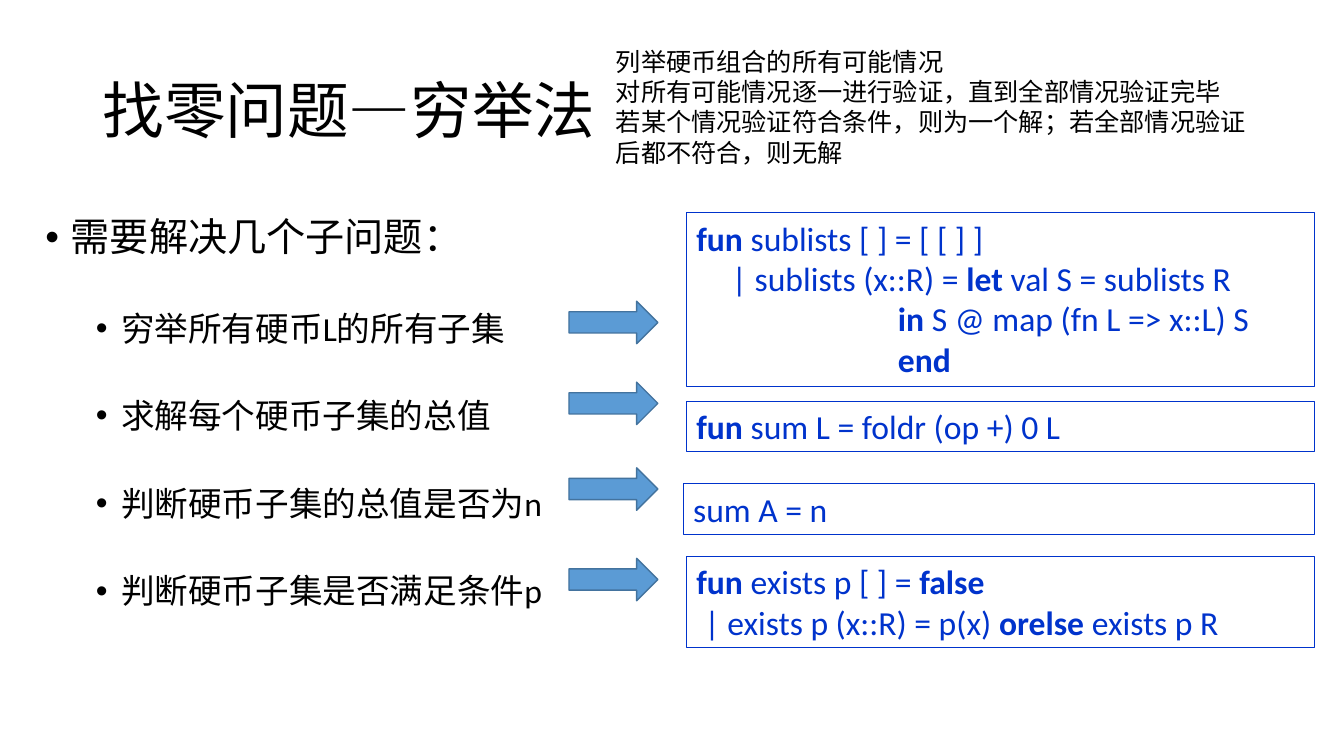
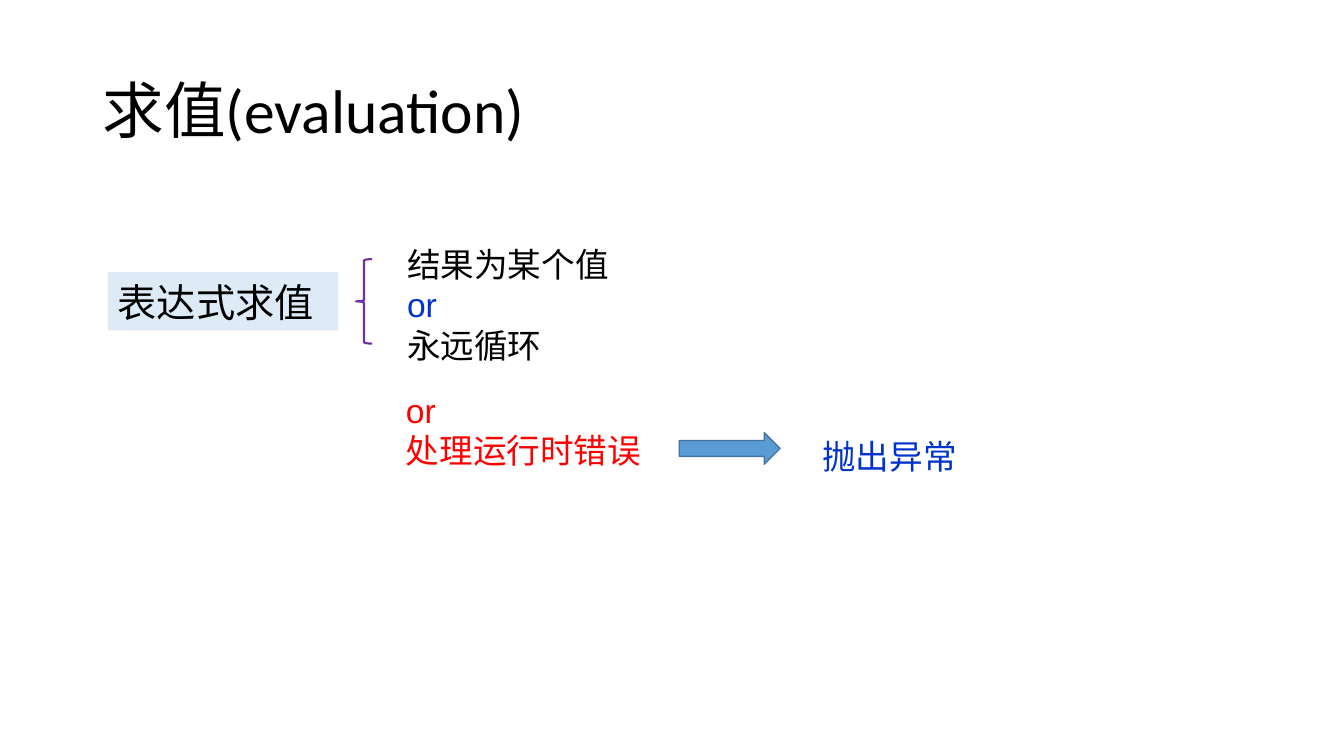
from lxml.etree import SubElement
from pptx import Presentation
from pptx.dml.color import RGBColor
from pptx.enum.shapes import MSO_SHAPE as Preset
from pptx.enum.text import MSO_ANCHOR as Anchor, MSO_AUTO_SIZE as AutoSize, PP_ALIGN as Align
from pptx.oxml.ns import qn
from pptx.util import Cm, Pt

BLACK = RGBColor(0x00, 0x00, 0x00)
CODE_BLUE = RGBColor(0x00, 0x33, 0xCC)
ARROW_FILL = RGBColor(0x5B, 0x9B, 0xD5)
ARROW_EDGE = RGBColor(0x43, 0x73, 0x9E)
LABEL_FILL = RGBColor(0xDE, 0xEB, 0xF6)
BRACE_PURPLE = RGBColor(0x70, 0x30, 0xA0)
ERROR_RED = RGBColor(0xFF, 0x00, 0x00)

LATIN, PLAIN, CHINESE = "Calibri", "Arial", "Noto Sans CJK SC"
TITLE_BOX = (2.33, 1.01, 29.21, 3.68)
TITLE_LINES = {"alignment": Align.LEFT, "line_spacing": 0.9}
TOPIC_LINES = {"level": 0, "line_spacing": 0.9, "space_before": Pt(10)}
STEP_LINES = {"level": 1, "line_spacing": 2.0, "space_before": Pt(5)}
RESULT_LINES = {"level": 1, "line_spacing": 1.5, "space_before": Pt(5)}
CODE_LINES = {"alignment": Align.LEFT}


def apply(target, values):
    """Set every attribute named in the dict of values."""
    for name, value in values.items():
        setattr(target, name, value)


def place(shape, box):
    """Move a shape to a (left, top, width, height) box in centimetres."""
    apply(shape, dict(zip(("left", "top", "width", "height"), map(Cm, box))))


def write(paragraph, pieces, size, color=BLACK, font=LATIN, lines=None):
    """Fill a paragraph with (text, bold) pieces in one text format."""
    apply(paragraph, lines or {})
    for text, bold in pieces:
        run = paragraph.add_run()
        run.text = text
        apply(run.font, {"size": Pt(size), "bold": bold, "name": font})
        run.font.color.rgb = color
        SubElement(run.font._element, qn("a:ea")).set("typeface", CHINESE)


def indent(paragraph, margin, hanging=0.0, bullet=None):
    """Set the left margin, hanging indent and optional bullet of a paragraph."""
    properties = paragraph._p.get_or_add_pPr()
    properties.set("marL", str(Cm(margin)))
    properties.set("indent", str(-Cm(hanging)))
    if bullet:
        SubElement(properties, qn("a:buChar")).set("char", bullet)
    else:
        SubElement(properties, qn("a:buNone"))


def paragraphs(frame, count):
    """Return the given number of paragraphs of an empty text frame."""
    return [frame.paragraphs[0]] + [frame.add_paragraph() for _ in range(count - 1)]


def add_titled_slide(deck, title, body_box):
    """Add a slide with its title and return it with its empty body frame."""
    slide = deck.slides.add_slide(deck.slide_layouts[1])
    heading, body = slide.shapes.title, slide.placeholders[1]
    place(heading, TITLE_BOX)
    place(body, body_box)
    for holder, anchor in ((heading, Anchor.MIDDLE), (body, Anchor.TOP)):
        apply(holder.text_frame, {"word_wrap": True, "auto_size": AutoSize.NONE,
                                  "vertical_anchor": anchor})
    write(heading.text_frame.paragraphs[0], [(title, False)], 44, lines=TITLE_LINES)
    return slide, body.text_frame


def add_preset(slide, preset, box, fill=None, edge=None, edge_width=1.0):
    """Add a flat preset shape with an optional fill and outline."""
    shape = slide.shapes.add_shape(preset, *map(Cm, box))
    shape.shadow.inherit = False
    if fill is None:
        shape.fill.background()
    else:
        shape.fill.solid()
        shape.fill.fore_color.rgb = fill
    if edge is None:
        shape.line.fill.background()
    else:
        shape.line.color.rgb = edge
        shape.line.width = Pt(edge_width)
    return shape


def add_arrow(slide, box):
    """Add a block arrow pointing right."""
    add_preset(slide, Preset.RIGHT_ARROW, box, ARROW_FILL, ARROW_EDGE)


def add_text(slide, box, rows, size):
    """Add a text box with one (text, colour, font) row per paragraph."""
    frame = slide.shapes.add_textbox(*map(Cm, box)).text_frame
    frame.word_wrap = True
    for paragraph, (text, color, font) in zip(paragraphs(frame, len(rows)), rows):
        write(paragraph, [(text, False)], size, color, font)


def add_code(slide, box, code):
    """Add an outlined code box; each line is (margin, pieces)."""
    frame = add_preset(slide, Preset.RECTANGLE, box, edge=CODE_BLUE, edge_width=0.75).text_frame
    apply(frame, {"word_wrap": True, "vertical_anchor": Anchor.TOP})
    for paragraph, (margin, pieces) in zip(paragraphs(frame, len(code)), code):
        write(paragraph, pieces, 24, CODE_BLUE, lines=CODE_LINES)
        indent(paragraph, margin)


def add_steps(frame, topic, steps):
    """Fill the body with a topic and its bulleted steps."""
    first, *rest = paragraphs(frame, 1 + len(steps))
    write(first, [(topic, False)], 28, lines=TOPIC_LINES)
    indent(first, 0.64, 0.64, "•")
    for paragraph, step in zip(rest, steps):
        write(paragraph, [(step, False)], 24, lines=STEP_LINES)
        indent(paragraph, 1.91, 0.64, "•")


def build_exhaustive_search(deck):
    """Pair each sub-problem of the change problem with its code."""
    slide, body = add_titled_slide(deck, "找零问题—穷举法", (0.89, 5.36, 14.68, 11.02))
    add_steps(body, "需要解决几个子问题：", [
        "穷举所有硬币L的所有子集", "求解每个硬币子集的总值",
        "判断硬币子集的总值是否为n", "判断硬币子集是否满足条件p"])
    sublists = [
        (0, [("fun ", True), ("sublists [ ] = [ [ ] ]", False)]),
        (0.89, [("| sublists (x::R) = ", False), ("let ", True),
                ("val S = sublists R", False)]),
        (5.08, [("in ", True), ("S @ map (fn L => x::L) S", False)]),
        (5.08, [("end", True)])]
    total = [(0, [("fun ", True), ("sum L = foldr (op +) 0 L", False)])]
    check = [(0, [("sum A = n", False)])]
    exists = [
        (0, [("fun", True), (" exists p [ ] = ", False), ("false", True)]),
        (0.2, [("| exists p (x::R) = p(x) ", False), ("orelse", True),
               (" exists p R", False)])]
    for arrow_top, box, code in (
            (7.59, (17.3, 5.36, 15.82, 4.37), sublists),
            (9.63, (17.3, 10.11, 15.82, 1.27), total),
            (11.79, (17.22, 12.19, 15.9, 1.27), check),
            (14.07, (17.3, 14.02, 15.82, 2.31), exists)):
        add_arrow(slide, (14.34, arrow_top, 2.24, 1.07))
        add_code(slide, box, code)
    method = ["列举硬币组合的所有可能情况",
              "对所有可能情况逐一进行验证，直到全部情况验证完毕",
              "若某个情况验证符合条件，则为一个解；若全部情况验证后都不符合，则无解"]
    add_text(slide, (15.27, 1.04, 16.56, 3.33), [(row, BLACK, PLAIN) for row in method], 18)


def build_evaluation(deck):
    """Show the possible outcomes of evaluating an expression."""
    slide, body = add_titled_slide(deck, "求值(evaluation)", (19.2, 10.36, 5.97, 1.55))
    result = body.paragraphs[0]
    write(result, [("抛出异常", False)], 24, CODE_BLUE, CHINESE, RESULT_LINES)
    indent(result, 1.27)
    expression = add_preset(slide, Preset.RECTANGLE, (2.72, 6.86, 5.8, 1.47), LABEL_FILL)
    write(expression.text_frame.paragraphs[0], [("表达式求值", False)], 28,
          font=CHINESE, lines=CODE_LINES)
    add_preset(slide, Preset.LEFT_BRACE, (8.97, 6.53, 0.41, 2.13),
               edge=BRACE_PURPLE, edge_width=1.5)
    add_text(slide, (10.01, 6.02, 6.45, 3.33), [
        ("结果为某个值", BLACK, CHINESE), ("or", CODE_BLUE, PLAIN),
        ("永远循环", BLACK, CHINESE)], 24)
    add_text(slide, (9.98, 9.7, 6.83, 2.31), [
        ("or", ERROR_RED, PLAIN), ("处理运行时错误", ERROR_RED, CHINESE)], 24)
    add_arrow(slide, (17.12, 10.9, 2.54, 0.8))


def main():
    """Build the deck and save it."""
    deck = Presentation()
    apply(deck, {"slide_width": Cm(33.87), "slide_height": Cm(19.05)})
    build_exhaustive_search(deck)
    build_evaluation(deck)
    deck.save("out.pptx")


main()
